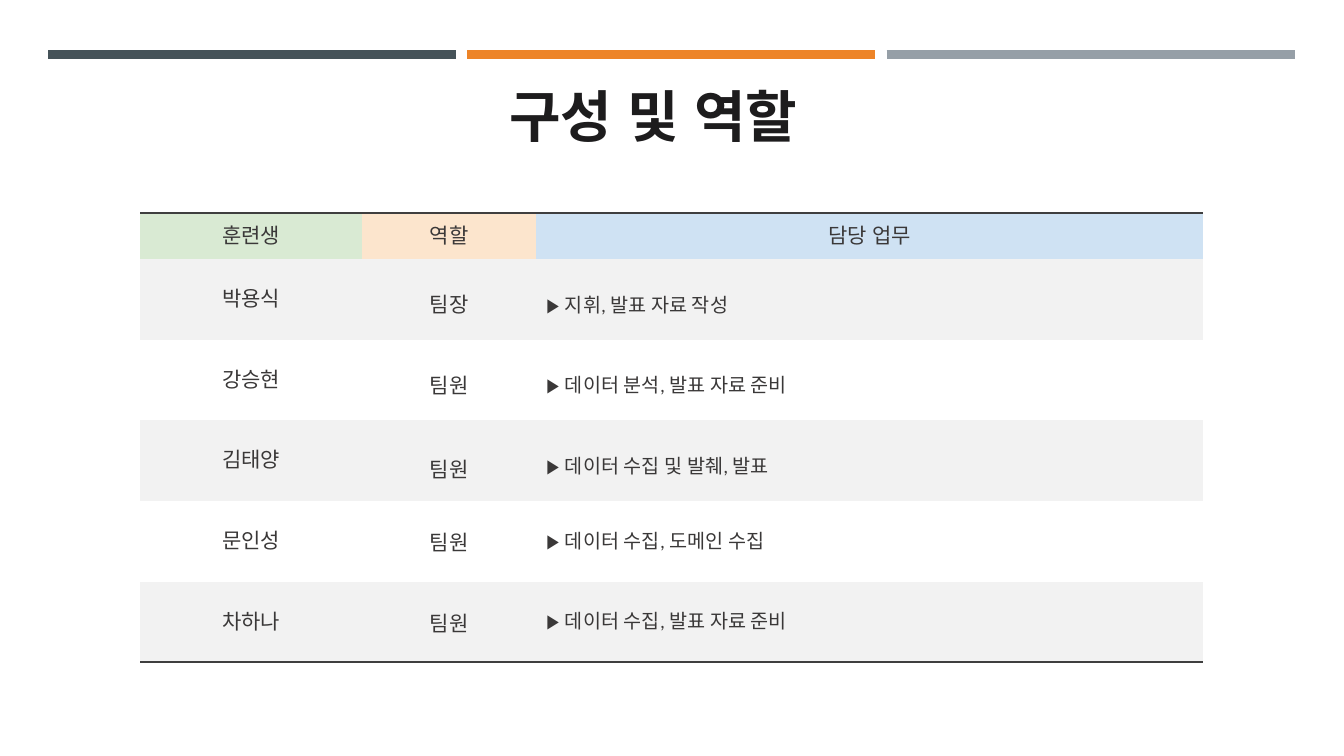
from lxml import etree
from pptx import Presentation
from pptx.dml.color import RGBColor
from pptx.enum.shapes import MSO_CONNECTOR
from pptx.enum.text import MSO_ANCHOR, PP_ALIGN
from pptx.oxml.ns import qn
from pptx.util import Inches, Pt

COLORS = {
    "slate": "465359", "orange": "ED8428", "gray": "969FA7",
    "title": "1D1C1D", "body": "3A3838", "rule": "3F3F3F", "band": "F2F2F2",
    "trainee": "D9EAD3", "role": "FCE5CD", "duty": "CFE2F3",
}
NO_GRID_STYLE = "{2D5ABB26-0587-4C30-8999-92F81FD0307C}"
HEADERS = [("훈련생", "trainee"), ("역할", "role"), ("담당 업무", "duty")]
# name, role, role font, duty, line spacing
MEMBERS = [
    ("박용식", "팀장", "Calibri", "지휘, 발표 자료 작성", 1.5),
    ("강승현", "팀원", "Arial", "데이터 분석, 발표 자료 준비", 1.5),
    ("김태양", "팀원", "Noto Sans CJK KR", "데이터 수집 및 발췌, 발표", 1.5),
    ("문인성", "팀원", "Noto Sans CJK KR", "데이터 수집, 도메인 수집", None),
    ("차하나", "팀원", "Noto Sans CJK KR", "데이터 수집, 발표 자료 준비", None),
]


def rgb(name):
    return RGBColor.from_string(COLORS[name])


def style_run(run, size, color, font="Arial", bold=False):
    run.font.size = Pt(size)
    run.font.name = font
    run.font.bold = bold
    run.font.color.rgb = rgb(color)
    east_asian = etree.SubElement(run.font._element, qn("a:ea"))
    east_asian.set("typeface", font)


def add_top_bars(slide, left, top, width, gap):
    bar_width = (width - 2 * gap) / 3
    for index, color in enumerate(("slate", "orange", "gray")):
        start = left + index * (bar_width + gap)
        bar = slide.shapes.add_connector(
            MSO_CONNECTOR.STRAIGHT, Inches(start), Inches(top),
            Inches(start + bar_width), Inches(top))
        bar.line.color.rgb = rgb(color)
        bar.line.width = Pt(6.5)
        etree.SubElement(bar._element.spPr, qn("a:effectLst"))


def add_title(slide, left, top, width, height):
    title = slide.shapes.add_textbox(
        Inches(left), Inches(top), Inches(width), Inches(height))
    title.text_frame.word_wrap = True
    paragraph = title.text_frame.paragraphs[0]
    paragraph.text = "구성 및 역할"
    paragraph.alignment = PP_ALIGN.CENTER
    style_run(paragraph.runs[0], 40, "title", bold=True)


def add_rule(cell, side):
    """Draw a line on one side of a cell; side is lnT or lnB."""
    rule = etree.Element(qn(f"a:{side}"), w=str(Pt(1.5)))
    fill = etree.SubElement(rule, qn("a:solidFill"))
    etree.SubElement(fill, qn("a:srgbClr"), val=COLORS["rule"])
    cell._tc.get_or_add_tcPr().insert(0, rule)


def fill_cell(cell, parts, fill, align=PP_ALIGN.CENTER, spacing=None):
    """Write parts, each (text, size, font), into a cell."""
    cell.vertical_anchor = MSO_ANCHOR.MIDDLE
    if fill:
        cell.fill.solid()
        cell.fill.fore_color.rgb = rgb(fill)
    else:
        cell.fill.background()
    paragraph = cell.text_frame.paragraphs[0]
    paragraph.alignment = align
    if spacing:
        paragraph.line_spacing = spacing
    for text, size, font in parts:
        run = paragraph.add_run()
        run.text = text
        style_run(run, size, "body", font)


def add_role_table(slide, left, top, column_widths, header_height, row_height):
    height = header_height + row_height * len(MEMBERS)
    table = slide.shapes.add_table(
        len(MEMBERS) + 1, len(HEADERS), Inches(left), Inches(top),
        Inches(sum(column_widths)), Inches(height)).table
    table.first_row = table.horz_banding = False
    table._tbl.tblPr.find(qn("a:tableStyleId")).text = NO_GRID_STYLE
    for column, width in zip(table.columns, column_widths):
        column.width = Inches(width)
    for index, row in enumerate(table.rows):
        row.height = Inches(row_height if index else header_height)

    for column, (heading, fill) in enumerate(HEADERS):
        fill_cell(table.cell(0, column), [(heading, 15, "Arial")], fill)
        add_rule(table.cell(0, column), "lnT")
        add_rule(table.cell(len(MEMBERS), column), "lnB")

    for row, (name, role, role_font, duty, spacing) in enumerate(MEMBERS, 1):
        fill = "band" if row % 2 else None
        fill_cell(table.cell(row, 0), [(name, 15, "Arial")], fill)
        fill_cell(table.cell(row, 1), [(role, 15, role_font)], fill,
                  spacing=spacing)
        fill_cell(table.cell(row, 2),
                  [("▶ ", 14, "Arial"), (duty, 14, "Calibri")], fill,
                  PP_ALIGN.LEFT, spacing)


def main():
    presentation = Presentation()
    presentation.slide_width = Inches(13.33)
    presentation.slide_height = Inches(7.5)
    slide = presentation.slides.add_slide(presentation.slide_layouts[6])
    add_top_bars(slide, 0.48, 0.54, 12.36, 0.11)
    add_title(slide, 1.31, 0.76, 10.34, 0.77)
    add_role_table(slide, 1.39, 2.11, (2.2, 1.73, 6.61), 0.46, 0.8)
    presentation.save("out.pptx")


if __name__ == "__main__":
    main()
